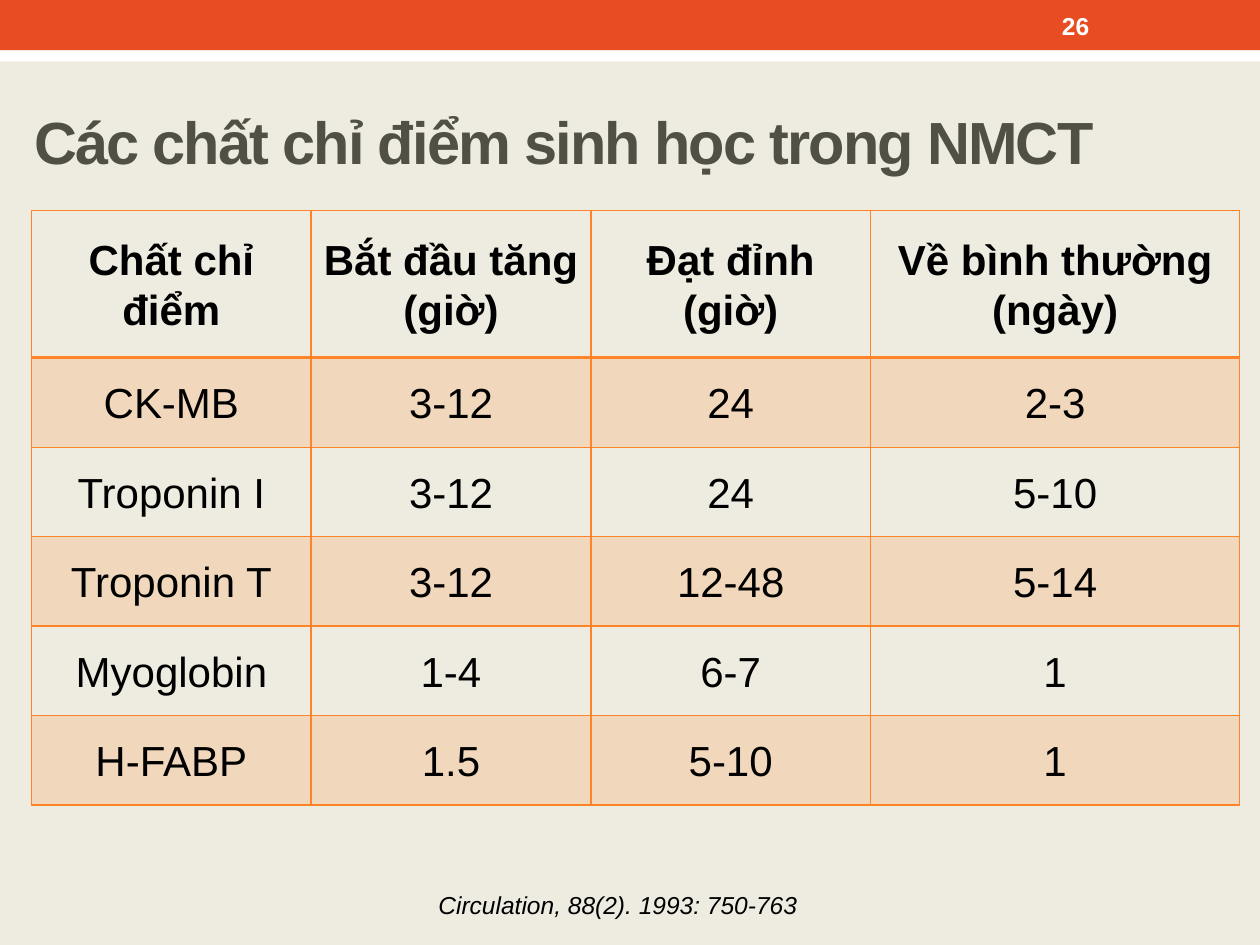
from typing import NamedTuple

from lxml.etree import SubElement
from pptx import Presentation
from pptx.dml.color import RGBColor as RGB
from pptx.enum.shapes import MSO_SHAPE as Kind
from pptx.enum.text import MSO_ANCHOR as Anchor, MSO_AUTO_SIZE as Fit, PP_ALIGN as Align
from pptx.oxml.ns import qn
from pptx.util import Inches, Pt

WIDE, HIGH = Inches(10), Inches(7.5)
FONT = "Arial"
CREAM = RGB(0xEE, 0xEC, 0xE1)
WHITE = RGB(0xFF, 0xFF, 0xFF)
RED = RGB(0xE8, 0x4C, 0x22)
ORANGE = RGB(0xFF, 0x84, 0x27)
GREY = RGB(0x50, 0x50, 0x46)
BLACK = RGB(0, 0, 0)

COLS = [2.22, 2.22, 2.22, 2.93]
ROWS = [1.17] + [0.71] * 5
DATA = [
    ["Chất chỉ điểm", "Bắt đầu tăng\n(giờ)", "Đạt đỉnh\n(giờ)", "Về bình thường\n(ngày)"],
    ["CK-MB", "3-12", "24", "2-3"],
    ["Troponin I", "3-12", "24", "5-10"],
    ["Troponin T", "3-12", "12-48", "5-14"],
    ["Myoglobin", "1-4", "6-7", "1"],
    ["H-FABP", "1.5", "5-10", "1"],
]


class Box(NamedTuple):
    """Place as shares of the slide's width and height."""
    x: float
    y: float
    w: float
    h: float

    def spot(self) -> tuple:
        return (int(self.x * WIDE), int(self.y * HIGH),
                int(self.w * WIDE), int(self.h * HIGH))


class Bar(NamedTuple):
    box: Box
    color: RGB


class Style(NamedTuple):
    size: float
    color: RGB
    bold: bool = False
    italic: bool = False
    align: Align = Align.LEFT
    lead: float = 1.0


BARS = [Bar(Box(0, 0.032, 1, 0.033), WHITE), Bar(Box(0, 0, 1, 0.053), RED)]
HEAD = Style(24, BLACK, bold=True, align=Align.CENTER, lead=1.07)
BODY = HEAD._replace(bold=False)
CITE = BODY._replace(size=14, italic=True)


def write(frame, text: str, style: Style) -> None:
    frame.text = text
    frame.word_wrap = True
    for para in frame.paragraphs:
        para.alignment = style.align
        para.line_spacing = style.lead
        for run in para.runs:
            font = run.font
            font.name, font.size = FONT, Pt(style.size)
            font.bold, font.italic = style.bold, style.italic
            font.color.rgb = style.color


def draw_bar(slide, bar: Bar) -> None:
    shape = slide.shapes.add_shape(Kind.RECTANGLE, *bar.box.spot())
    shape.shadow.inherit = False
    shape.fill.solid()
    shape.fill.fore_color.rgb = bar.color
    shape.line.fill.background()


def add_text(slide, box: Box, text: str, style: Style, anchor: Anchor) -> None:
    frame = slide.shapes.add_textbox(*box.spot()).text_frame
    write(frame, text, style)
    frame.vertical_anchor = anchor


def edge(cell, side: str, width: float) -> None:
    line = SubElement(cell._tc.get_or_add_tcPr(), qn(f"a:ln{side}"), w=str(Pt(width)))
    fill = SubElement(line, qn("a:solidFill"))
    SubElement(fill, qn("a:srgbClr"), val=str(ORANGE))


def tint(cell, share: int) -> None:
    cell.fill.solid()
    cell.fill.fore_color.rgb = ORANGE
    color = cell._tc.tcPr.find(f"{qn('a:solidFill')}/{qn('a:srgbClr')}")
    SubElement(color, qn("a:alpha"), val=str(share * 1000))


def draw_cell(cell, row: int, text: str) -> None:
    write(cell.text_frame, text, BODY if row else HEAD)
    cell.vertical_anchor = Anchor.MIDDLE
    cell.margin_left = cell.margin_right = Inches(0.07)
    cell.margin_top = cell.margin_bottom = 0
    # The rule under the header is twice as thick
    for side, width in dict(L=1, R=1, T=2 if row == 1 else 1, B=1 if row else 2).items():
        edge(cell, side, width)
    if row % 2:
        tint(cell, 20)
    else:
        cell.fill.background()


def draw_table(slide) -> None:
    table = slide.shapes.add_table(
        len(ROWS), len(COLS), Inches(0.25), Inches(1.67),
        Inches(sum(COLS)), Inches(sum(ROWS))).table
    for col, width in zip(table.columns, COLS):
        col.width = Inches(width)
    for row, height in zip(table.rows, ROWS):
        row.height = Inches(height)
    for r, line in enumerate(DATA):
        for c, text in enumerate(line):
            draw_cell(table.cell(r, c), r, text)


def set_title(slide, box: Box, text: str) -> None:
    title = slide.shapes.title
    title.left, title.top, title.width, title.height = box.spot()
    frame = title.text_frame
    write(frame, text, Style(34, GREY, bold=True))
    frame.auto_size = Fit.NONE
    frame.vertical_anchor = Anchor.MIDDLE
    for run in frame.paragraphs[0].runs:
        run.font._element.set("spc", "-100")


def main() -> None:
    deck = Presentation()
    deck.slide_width, deck.slide_height = WIDE, HIGH
    slide = deck.slides.add_slide(deck.slide_layouts[5])
    slide.background.fill.solid()
    slide.background.fill.fore_color.rgb = CREAM

    # Top band and page number
    for bar in BARS:
        draw_bar(slide, bar)
    add_text(slide, Box(0.833, 0.003, 0.117, 0.048), "26",
             Style(14, WHITE, bold=True), Anchor.MIDDLE)

    # Title, table and citation
    set_title(slide, Box(0.017, 0.077, 0.896, 0.144),
              "Các chất chỉ điểm sinh học trong NMCT")
    draw_table(slide)
    add_text(slide, Box(0.039, 0.933, 0.903, 0.044),
             "Circulation, 88(2). 1993: 750-763", CITE, Anchor.TOP)
    deck.save("out.pptx")


if __name__ == "__main__":
    main()
